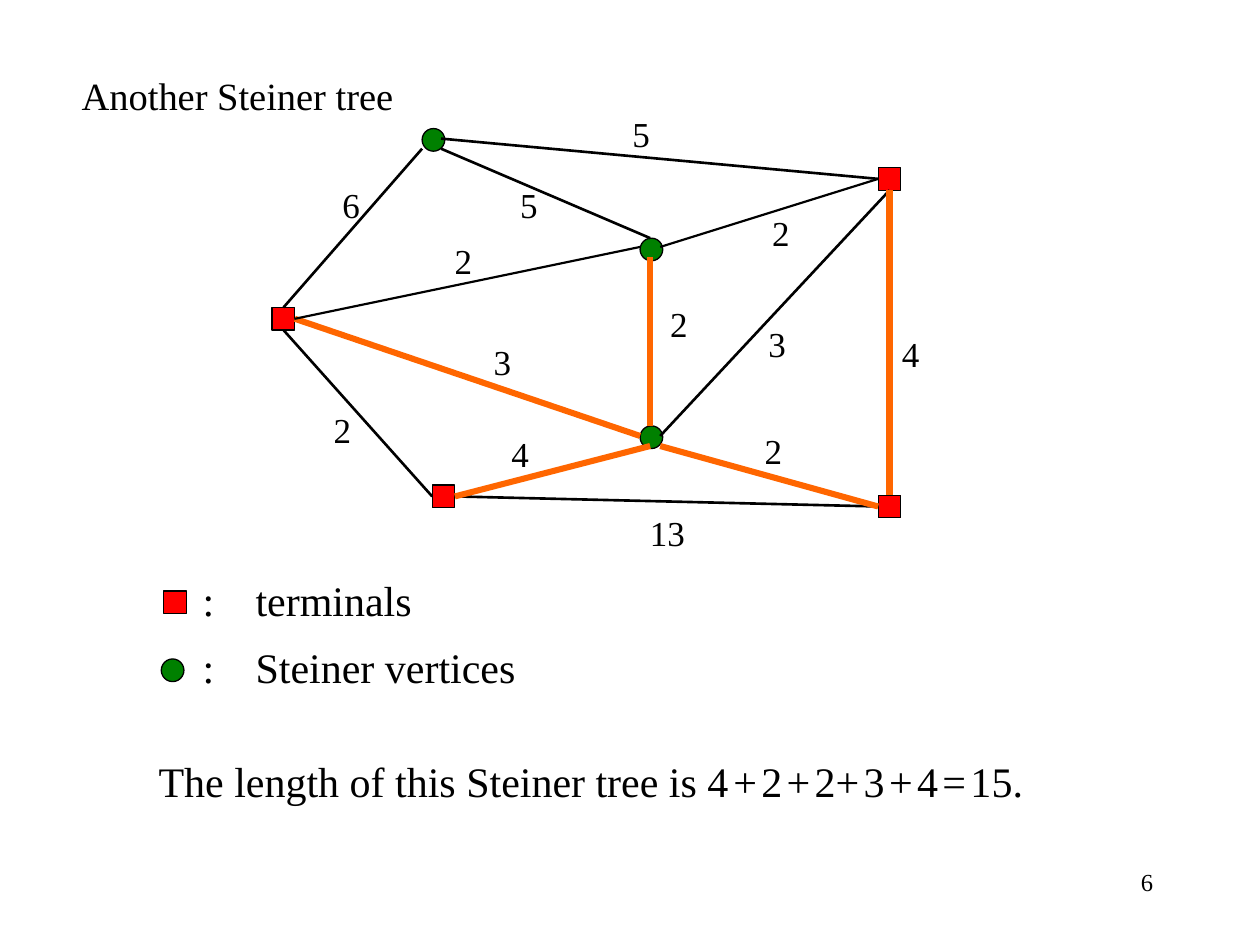
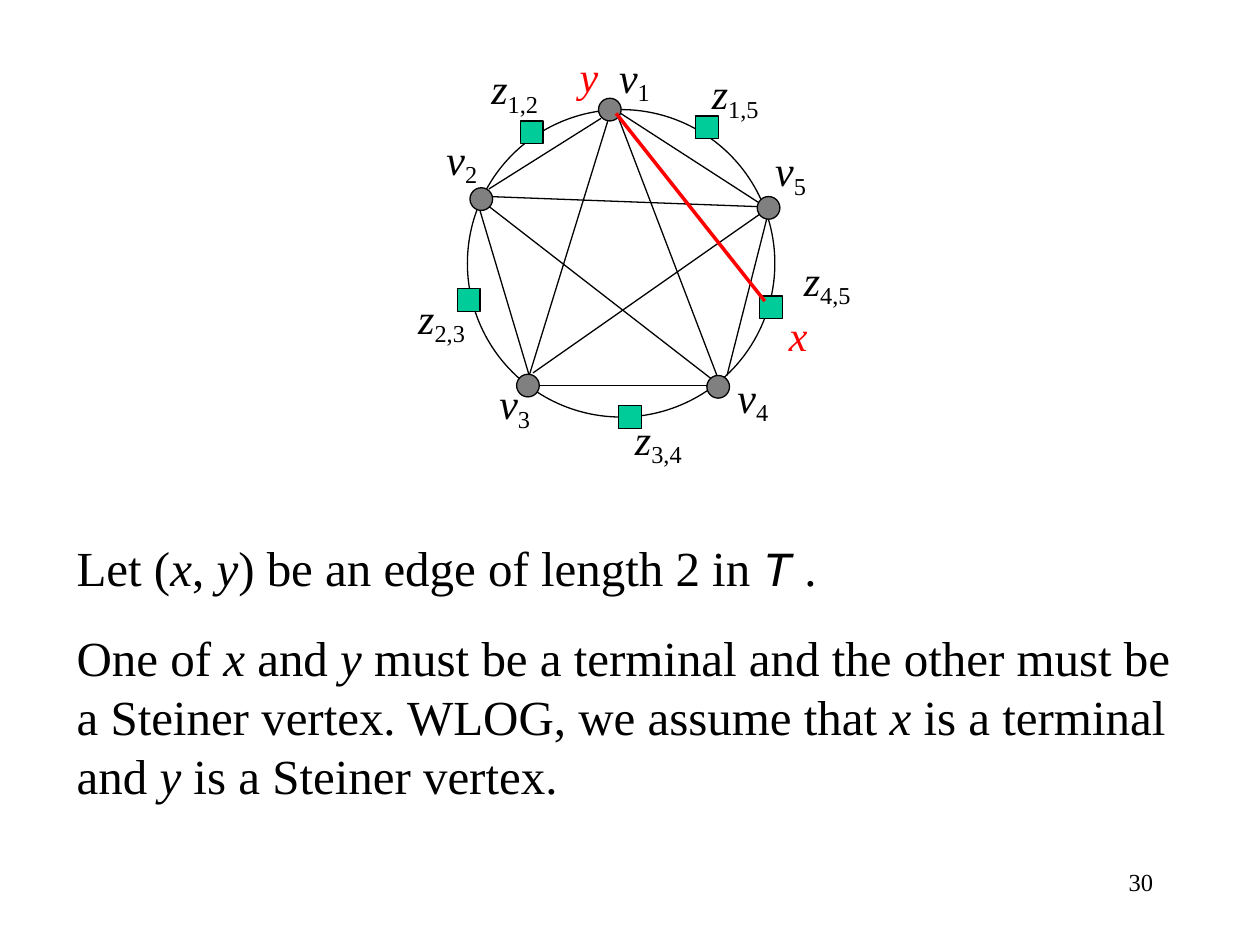
"""Build two slides about Steiner trees: a weighted graph and a ring construction."""
from lxml import etree
from pptx import Presentation
from pptx.dml.color import RGBColor
from pptx.enum.shapes import MSO_CONNECTOR, MSO_SHAPE
from pptx.enum.text import PP_ALIGN
from pptx.oxml.ns import qn
from pptx.util import Inches, Pt

BLACK = RGBColor(0x00, 0x00, 0x00)
RED = RGBColor(0xFF, 0x00, 0x00)
GREEN = RGBColor(0x00, 0x80, 0x00)
ORANGE = RGBColor(0xFF, 0x66, 0x00)
TEAL = RGBColor(0x00, 0xCC, 0x99)
GRAY = RGBColor(0x80, 0x80, 0x80)

SQUARE, CIRCLE = MSO_SHAPE.RECTANGLE, MSO_SHAPE.OVAL
STRAIGHT = MSO_CONNECTOR.STRAIGHT
LEFT, CENTER, RIGHT = PP_ALIGN.LEFT, PP_ALIGN.CENTER, PP_ALIGN.RIGHT
TOP_SIDE, LEFT_SIDE, BOTTOM_SIDE, RIGHT_SIDE = range(4)

FONT = "Times New Roman"
TREE_FONT = "Courier New"
NODE_SIZE = 0.18
TREE_WIDTH = 3.5

TERMINALS = {
    "west": (2.16, 2.44),
    "south": (3.43, 3.85),
    "northeast": (6.97, 1.33),
    "southeast": (6.97, 3.93),
}
STEINER_VERTICES = [(3.35, 1.02), (5.08, 1.89), (5.08, 3.38)]
EDGES = [
    ((3.35, 1.18), ("west", TOP_SIDE), BLACK, 1.5),
    ((3.5, 1.1), ("northeast", LEFT_SIDE), BLACK, 1.5),
    ((3.5, 1.18), (5.16, 1.89), BLACK, 1.5),
    (("west", RIGHT_SIDE), (5.08, 3.46), ORANGE, TREE_WIDTH),
    ((5.24, 3.46), ("northeast", BOTTOM_SIDE), BLACK, 1.5),
    (("west", BOTTOM_SIDE), ("south", LEFT_SIDE), BLACK, 1.5),
    (("south", RIGHT_SIDE), ("southeast", LEFT_SIDE), BLACK, 1.5),
    (("northeast", BOTTOM_SIDE), ("southeast", TOP_SIDE), ORANGE, TREE_WIDTH),
    (("west", RIGHT_SIDE), (5.08, 1.96), BLACK, 1.25),
    ((5.16, 2.04), (5.16, 3.38), ORANGE, TREE_WIDTH),
    ((5.16, 3.54), ("south", RIGHT_SIDE), ORANGE, TREE_WIDTH),
    ((5.24, 3.54), ("southeast", LEFT_SIDE), ORANGE, TREE_WIDTH),
    ((5.24, 1.96), ("northeast", LEFT_SIDE), BLACK, 1.25),
]
EDGE_LENGTHS = [
    ("5", 4.92, 0.84), ("5", 4.03, 1.41), ("2", 6.03, 1.63), ("6", 2.62, 1.41),
    ("2", 3.51, 1.85), ("2", 2.55, 3.19), ("3", 3.82, 2.65), ("4", 3.96, 3.38),
    ("13", 5.06, 4.01), ("2", 5.97, 3.36), ("2", 5.22, 2.35), ("3", 6, 2.51),
    ("4", 7.06, 2.59),
]
LENGTH_SUM = ["The length of this Steiner tree is 4", "+", "2", "+", "2+",
              "3", "+", "4", "=", "15."]

CHORDS = [
    ((4.77, 0.94), (3.88, 1.5)), ((3.8, 1.64), (4.2, 2.98)),
    ((4.28, 3.06), (5.61, 3.06)), ((5.77, 2.98), (6.09, 1.72)),
    ((4.91, 0.89), (6.04, 1.62)), ((4.83, 0.94), (4.2, 2.98)),
    ((4.91, 0.94), (5.69, 2.98)), ((3.88, 1.56), (6.01, 1.64)),
    ((3.87, 1.63), (5.65, 3.01)), ((6.03, 1.7), (4.23, 2.96)),
]
RING_TERMINALS = [(5.52, 0.92), (6.03, 2.35), (3.63, 2.29), (4.91, 3.22), (4.13, 0.96)]
RING_VERTICES = [(4.75, 0.78), (6.01, 1.56), (5.61, 2.98), (4.1, 2.97), (3.73, 1.49)]
RING_LABELS = [
    ("v", "1", 4.64, 0.36), ("v", "2", 3.27, 1.01), ("v", "5", 5.88, 1.1),
    ("v", "3", 3.69, 2.95), ("v", "4", 5.58, 2.9),
    ("z", "1,5", 5.44, 0.49), ("z", "1,2", 3.69, 0.45), ("z", "4,5", 6.17, 1.97),
    ("z", "3,4", 4.83, 3.23), ("z", "2,3", 3.11, 2.27),
]
ARGUMENT = [
    [("Let (", ""), ("x", "italic"), (", ", ""), ("y", "italic"),
     (") be an edge of length 2 in ", ""), ("T", "tree"), (" .", "")],
    [("One of ", ""), ("x", "italic"), (" and ", ""), ("y", "italic"),
     (" must be a terminal and the other must be a Steiner vertex. "
      "WLOG, we assume that ", ""), ("x", "italic"),
     (" is a terminal and ", ""), ("y", "italic"), (" is a Steiner vertex.", "")],
]


def add_page(deck, number):
    """Add a blank page with its number at the lower right."""
    page = deck.slides.add_slide(deck.slide_layouts[6])
    add_text(page, (7.17, 6.83, 2.08, 0.5), [[(number, "")]], 14, RIGHT)
    return page


def add_text(page, place, paragraphs, size, align=LEFT, color=BLACK, wrap=True):
    """Add a text box from paragraphs made of (text, style) spans."""
    box = page.shapes.add_textbox(*(Inches(length) for length in place))
    frame = box.text_frame
    frame.word_wrap = wrap
    for index, spans in enumerate(paragraphs):
        para = frame.add_paragraph() if index else frame.paragraphs[0]
        para.alignment = align
        if index:
            para.space_before = Pt(17.5)
        for text, style in spans:
            add_span(para, text, style, size, color)
    return box


def add_span(para, text, style, size, color):
    """Append one run in the named style."""
    span = para.add_run()
    span.text = text
    span.font.name = TREE_FONT if style == "tree" else FONT
    span.font.size = Pt(10 if style == "thin" else size)
    span.font.color.rgb = color
    span.font.italic = style in ("italic", "tree")
    if style == "subscript":
        span.font._element.set("baseline", "-20000")


def add_outlined(page, kind, place, size, fill=None):
    """Add a thin black-outlined shape, filled if a colour is given."""
    shape = page.shapes.add_shape(
        kind, *(Inches(length) for length in (*place, size, size)))
    shape.shadow.inherit = False
    shape.line.color.rgb = BLACK
    shape.line.width = Pt(0.75)
    if fill is None:
        shape.fill.background()
    else:
        shape.fill.solid()
        shape.fill.fore_color.rgb = fill
    return shape


def add_node(page, kind, place, fill):
    """Add a graph node."""
    return add_outlined(page, kind, place, NODE_SIZE, fill)


def add_edge(page, start, end, color=BLACK, width=0.75, nodes=None):
    """Draw an edge between points or (node name, side) pairs."""
    joined = [isinstance(stop[0], str) for stop in (start, end)]
    points = [(0, 0) if join else stop for stop, join in zip((start, end), joined)]
    edge = page.shapes.add_connector(
        STRAIGHT, *(Inches(value) for point in points for value in point))
    if joined[0]:
        edge.begin_connect(nodes[start[0]], start[1])
    if joined[1]:
        edge.end_connect(nodes[end[0]], end[1])
    edge.line.color.rgb = color
    edge.line.width = Pt(width)
    etree.SubElement(edge._element.spPr, qn("a:effectLst"))


def add_legend_row(page, kind, place, fill, meaning, text_top):
    """Add a legend symbol with its meaning set at a tab stop."""
    add_node(page, kind, place, fill)
    box = add_text(page, (1.51, text_top, 2.75, 0.5), [[(f":\t{meaning}", "")]], 24)
    properties = box.text_frame.paragraphs[0]._p.get_or_add_pPr()
    tabs = etree.SubElement(properties, qn("a:tabLst"))
    etree.SubElement(tabs, qn("a:tab"), pos=str(Inches(0.42)), algn="l")


def build_tree_page(deck):
    """Build the weighted graph with its highlighted tree."""
    page = add_page(deck, "6")
    terminals = {name: add_node(page, SQUARE, place, RED)
                 for name, place in TERMINALS.items()}
    for place in STEINER_VERTICES:
        add_node(page, CIRCLE, place, GREEN)
    for start, end, color, width in EDGES:
        add_edge(page, start, end, color, width, terminals)
    for length, left, top in EDGE_LENGTHS:
        place = (left, top, 0.2 + 0.14 * len(length), 0.44)
        add_text(page, place, [[(length, "")]], 20, wrap=False)
    add_legend_row(page, SQUARE, (1.3, 4.69), RED, "terminals", 4.51)
    add_legend_row(page, CIRCLE, (1.28, 5.23), GREEN, "Steiner vertices", 5.04)
    spans = [(LENGTH_SUM[0], "")]
    for term in LENGTH_SUM[1:]:
        spans += [(" ", "thin"), (term, "")]
    add_text(page, (1.16, 5.95, 7.72, 0.5), [spans], 24)
    add_text(page, (0.43, 0.52, 2.91, 0.47), [[("Another Steiner tree", "")]], 22, CENTER)


def build_ring_page(deck):
    """Build the ring of vertices and terminals with the argument below."""
    page = add_page(deck, "30")
    for start, end in CHORDS:
        add_edge(page, start, end)
    add_outlined(page, CIRCLE, (3.71, 0.87), 2.44)
    for place in RING_TERMINALS:
        add_node(page, SQUARE, place, TEAL)
    for place in RING_VERTICES:
        add_node(page, CIRCLE, place, GRAY)
    for letter, index, left, top in RING_LABELS:
        spans = [(letter, "italic"), (index, "subscript")]
        add_text(page, (left, top, 0.79, 0.54), [spans], 24, CENTER)
    add_edge(page, (4.89, 0.9), (6.07, 2.39), RED, 2)
    add_text(page, (0.51, 4.22, 8.98, 2.21), ARGUMENT, 28)
    for letter, left, top in (("x", 5.94, 2.41), ("y", 4.28, 0.35)):
        add_text(page, (left, top, 0.79, 0.5), [[(letter, "italic")]], 24, CENTER, RED)


def main():
    """Create the deck and save it."""
    deck = Presentation()
    deck.slide_width = Inches(10)
    deck.slide_height = Inches(7.5)
    build_tree_page(deck)
    build_ring_page(deck)
    deck.save("out.pptx")


if __name__ == "__main__":
    main()
